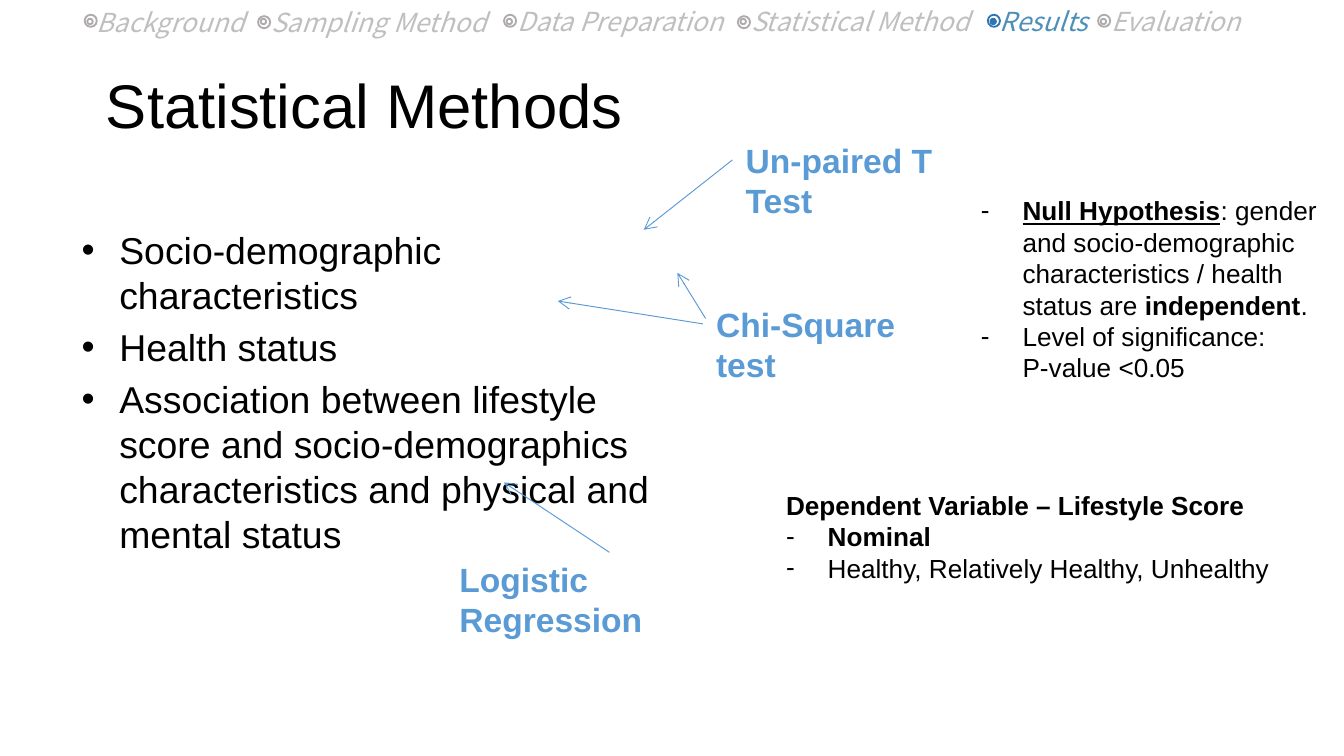
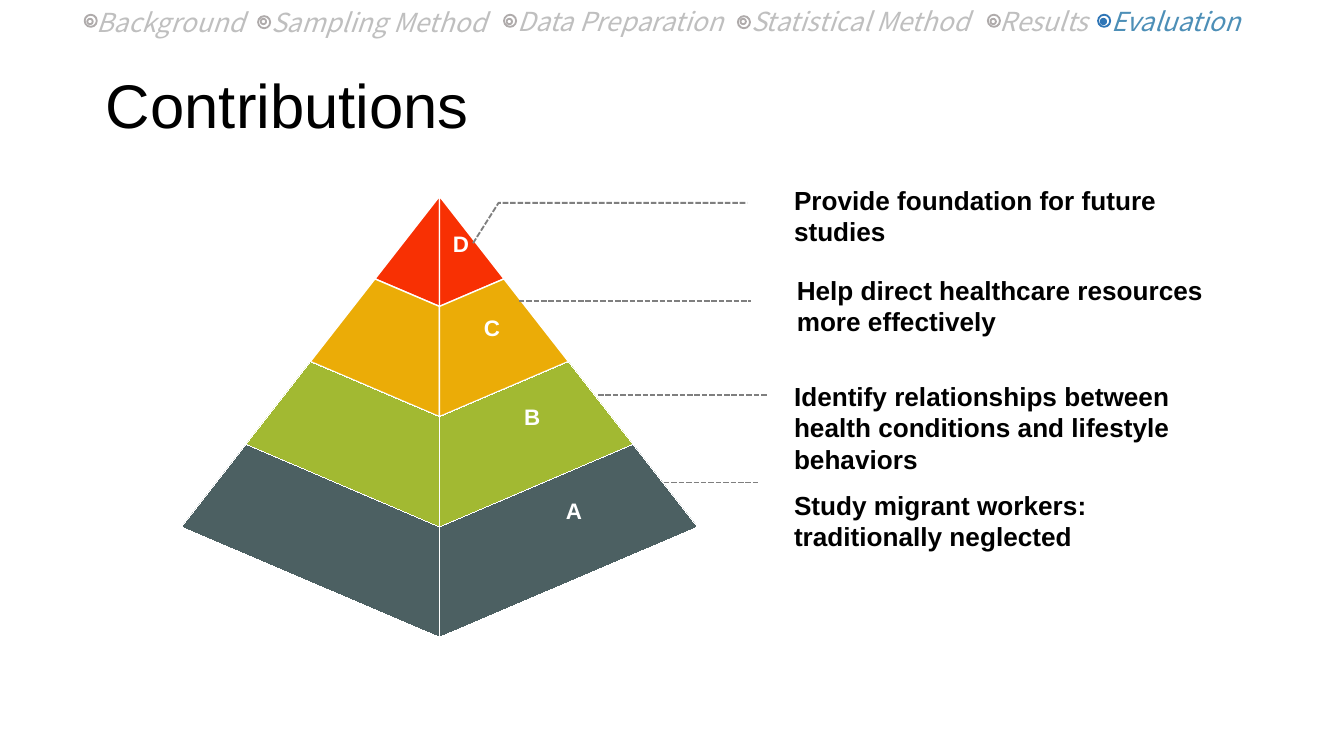
from lxml.etree import SubElement
from pptx import Presentation
from pptx.dml.color import RGBColor
from pptx.enum.dml import MSO_LINE
from pptx.enum.shapes import MSO_CONNECTOR, MSO_SHAPE
from pptx.enum.text import MSO_ANCHOR, PP_ALIGN
from pptx.oxml.ns import qn
from pptx.util import Inches, Pt

BLACK, WHITE = "000000", "FFFFFF"
METHOD_BLUE = "5B9BD5"
NAV_TEXT, NAV_TEXT_ACTIVE = "BFBFBF", "4D8FB7"
NAV_RING, NAV_RING_ACTIVE = "AFABAB", "2E75B6"
CALLOUT_GREY = "7F7F7F"
BODY_FONT, NAV_FONT = "Arial", "Noto Sans CJK SC"

SECTIONS = [
    ("Background", 0.62, 0, 2.23, 0.63, 0.11),
    ("Sampling Method", 1.92, 0, 2.23, 1.92, 0.12),
    ("Data Preparation", 3.75, -0.01, 2.23, 3.75, 0.11),
    ("Statistical Method", 5.49, -0.01, 2.23, 5.49, 0.12),
    ("Results", 7.34, -0.01, 0.89, 7.35, 0.11),
    ("Evaluation", 8.17, -0.01, 1.3, 8.17, 0.11),
]

APEX_X, APEX_Y = 3.27, 1.46
HALF_WIDTH, EDGE_HEIGHT, SPINE_HEIGHT = 1.92, 2.46, 3.28
TIERS = [("F83003", 0.75), ("EBAC07", 0.75), ("A2B932", 0.01), ("4C6062", 0.01)]


def rgb(value):
    """Turn a hex string into a colour."""
    return RGBColor.from_string(value)


def style_outline(shape, color, width, dashed=False):
    """Set the line of a shape or connector."""
    shape.line.color.rgb = rgb(color)
    shape.line.width = Pt(width)
    if dashed:
        shape.line.dash_style = MSO_LINE.SQUARE_DOT


def style_shape(shape, fill, color, width, dashed=False):
    """Set fill and line of a shape and drop its shadow."""
    shape.shadow.inherit = False
    if fill:
        shape.fill.solid()
        shape.fill.fore_color.rgb = rgb(fill)
    else:
        shape.fill.background()
    style_outline(shape, color, width, dashed)


def add_bullet(paragraph, character, indent):
    """Give a paragraph a hanging bullet."""
    properties = paragraph._p.get_or_add_pPr()
    properties.set("marL", str(Inches(indent)))
    properties.set("indent", str(-Inches(indent)))
    SubElement(properties, qn("a:buFont")).set("typeface", BODY_FONT)
    SubElement(properties, qn("a:buChar")).set("char", character)


def add_text(shapes, box, *lines, size=14, color=BLACK, font=BODY_FONT, bold=False,
             italic=False, align=PP_ALIGN.LEFT, anchor=MSO_ANCHOR.TOP, wrap=True,
             bullet=None, indent=0.31, heading=False, gap=0):
    """Add a text box; a line is a string or a list of (text, bold, underline) runs."""
    text_box = shapes.add_textbox(*map(Inches, box))
    frame = text_box.text_frame
    frame.word_wrap = wrap
    frame.vertical_anchor = anchor
    for index, line in enumerate(lines):
        paragraph = frame.add_paragraph() if index else frame.paragraphs[0]
        if bullet and not (heading and index == 0):
            add_bullet(paragraph, bullet, indent)
        paragraph.alignment = align
        if index and gap:
            paragraph.space_before = Pt(gap)
        paragraph.font.size = Pt(size)
        runs = [(line, bold, False)] if isinstance(line, str) else line
        for text, run_bold, underline in runs:
            if text == "\v":
                paragraph.add_line_break()
                continue
            run = paragraph.add_run()
            run.text = text
            run.font.name = font
            run.font.size = Pt(size)
            run.font.color.rgb = rgb(color)
            run.font.bold = run_bold
            run.font.italic = italic
            run.font.underline = underline
    return text_box


def add_line(slide, start, end, color, width, dashed=False, arrow=False, source=None):
    """Add a straight line, joined to a (box, side) source if one is given."""
    line = slide.shapes.add_connector(MSO_CONNECTOR.STRAIGHT, *map(Inches, start + end))
    if source:
        line.begin_connect(*source)
    style_outline(line, color, width, dashed)
    if arrow:
        outline = line._element.spPr.find(qn("a:ln"))
        SubElement(outline, qn("a:tailEnd")).set("type", "arrow")
    SubElement(line._element.spPr, qn("a:effectLst"))


def add_outline(slide, points, fill, color, width, closed=True, dashed=False):
    """Add a freeform through points given in inches."""
    start, *rest = [(Inches(x), Inches(y)) for x, y in points]
    builder = slide.shapes.build_freeform(*start)
    builder.add_line_segments(rest, close=closed)
    style_shape(builder.convert_to_shape(), fill, color, width, dashed)


def add_navigation(slide, active):
    """Add the section bar with one section highlighted."""
    bar = slide.shapes.add_group_shape().shapes
    for name, left, top, width, ring_x, ring_y in SECTIONS:
        chosen = name == active
        add_text(bar, (left, top, width, 0.34), name, font=NAV_FONT, italic=True,
                 color=NAV_TEXT_ACTIVE if chosen else NAV_TEXT)
        ring_color = NAV_RING_ACTIVE if chosen else NAV_RING
        for x, y, size, fill in ((ring_x, ring_y, 0.09, None),
                                 (ring_x + 0.02, 0.14, 0.04,
                                  ring_color if chosen else None)):
            circle = bar.add_shape(MSO_SHAPE.OVAL, *map(Inches, (x, y, size, size)))
            style_shape(circle, fill, ring_color, 1)


def add_page(deck, title, section):
    """Add a slide with its title and section bar."""
    slide = deck.slides.add_slide(deck.slide_layouts[6])
    add_text(slide.shapes, (0.69, 0.23, 8.62, 1.09), title, size=33,
             anchor=MSO_ANCHOR.MIDDLE)
    add_navigation(slide, section)
    return slide


def add_method(slide, name, box, side, start, end):
    """Add a method label with an arrow to the topic it tests."""
    label = add_text(slide.shapes, box, name, size=18, color=METHOD_BLUE, bold=True)
    add_line(slide, start, end, METHOD_BLUE, 0.5, arrow=True, source=(label, side))


def add_pyramid(slide):
    """Add the two-sided pyramid, from the top tier down."""
    for tier, (color, width) in enumerate(TIERS):
        shares = [level / len(TIERS) for level in (tier, tier + 1)]
        spine = [(APEX_X, APEX_Y + SPINE_HEIGHT * share) for share in shares]
        for side in (-1, 1):
            edge = [(APEX_X + side * HALF_WIDTH * share, APEX_Y + EDGE_HEIGHT * share)
                    for share in reversed(shares)]
            add_outline(slide, edge + spine, color, WHITE, width)


def build_methods(deck):
    """Build the statistical methods slide."""
    slide = add_page(deck, "Statistical Methods", "Results")
    add_text(slide.shapes, (0.51, 1.64, 4.7, 2.64),
             "Socio-demographic characteristics",
             "Health status",
             "Association between lifestyle score and socio-demographics "
             "characteristics and physical and mental status",
             size=20, bullet="•", indent=0.28, gap=4)
    add_method(slide, "Chi-Square test", (5.23, 2.21, 1.97, 0.4), 1,
               (5.23, 2.41), (4.15, 2.24))
    add_line(slide, (5.25, 2.37), (5.04, 2.03), METHOD_BLUE, 0.5, arrow=True)
    add_method(slide, "Un-paired T Test", (5.45, 0.99, 2.11, 0.4), 1,
               (5.45, 1.19), (4.79, 1.71))
    add_method(slide, "Logistic Regression", (3.32, 4.11, 2.43, 0.4), 0,
               (4.53, 4.11), (3.75, 3.59))
    add_text(slide.shapes, (7.2, 1.4, 2.72, 1.75),
             [("Null Hypothesis", True, True),
              (": gender and socio-demographic characteristics / health status are ",
               False, False),
              ("independent", True, False), (".", False, False)],
             [("Level of significance:", False, False), ("\v", False, False),
              ("P-value <0.05", False, False)],
             bullet="-")
    add_text(slide.shapes, (5.75, 3.59, 3.88, 0.81),
             "Dependent Variable – Lifestyle Score", "Nominal",
             [("Healthy, Relatively Healthy, Unhealthy", False, False)],
             bold=True, bullet="-", heading=True)


def build_contributions(deck):
    """Build the contributions slide."""
    slide = add_page(deck, "Contributions", "Evaluation")
    add_pyramid(slide)
    for text, left, top, width, height in (
            ("Provide foundation for future studies", 5.81, 1.32, 3.5, 0.34),
            ("Help direct healthcare resources more effectively", 5.83, 1.99, 3.49, 0.57),
            ("Identify relationships between health conditions and lifestyle behaviors",
             5.81, 2.78, 3.5, 0.57),
            ("Study migrant workers: traditionally neglected", 5.81, 3.59, 3.4, 0.57)):
        add_text(slide.shapes, (left, top, width, height), text, bold=True)
    add_outline(slide, [(3.52, 1.81), (3.71, 1.51), (5.56, 1.51)], None,
                CALLOUT_GREY, 1, closed=False, dashed=True)
    for left, right, y in ((3.86, 5.59, 2.24), (4.45, 5.71, 2.94), (4.94, 5.65, 3.59)):
        add_line(slide, (left, y), (right, y), CALLOUT_GREY, 1, dashed=True)
    for letter, left, top in (("D", 3.27, 1.66), ("C", 3.5, 2.29),
                              ("B", 3.8, 2.95), ("A", 4.11, 3.65)):
        add_text(slide.shapes, (left, top, 0.32, 0.3), letter, size=12, color=WHITE,
                 bold=True, align=PP_ALIGN.CENTER, wrap=False)


def main():
    """Build the deck and save it."""
    deck = Presentation()
    deck.slide_width = Inches(10)
    deck.slide_height = deck.slide_width * 9 // 16
    build_methods(deck)
    build_contributions(deck)
    deck.save("out.pptx")


if __name__ == "__main__":
    main()
